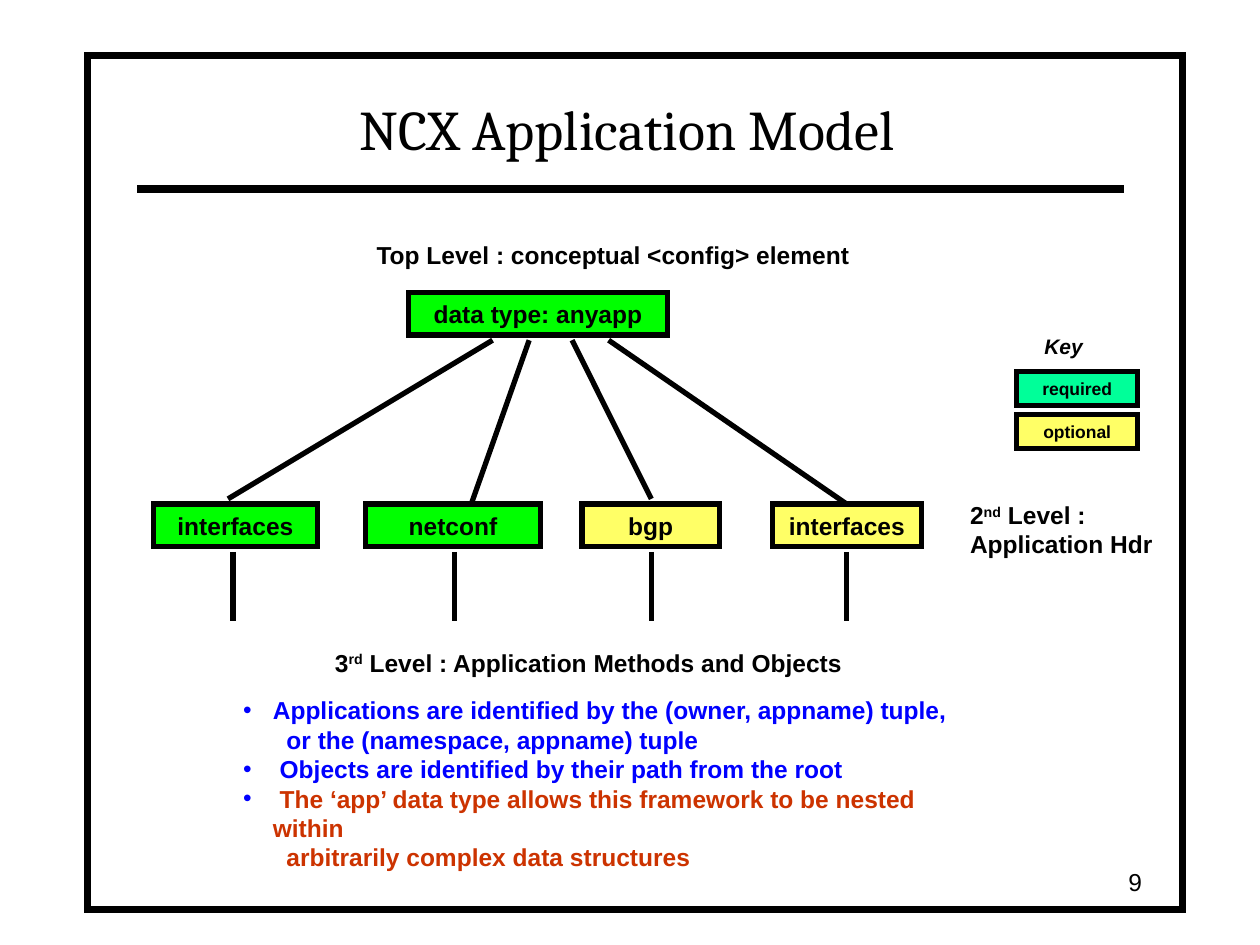
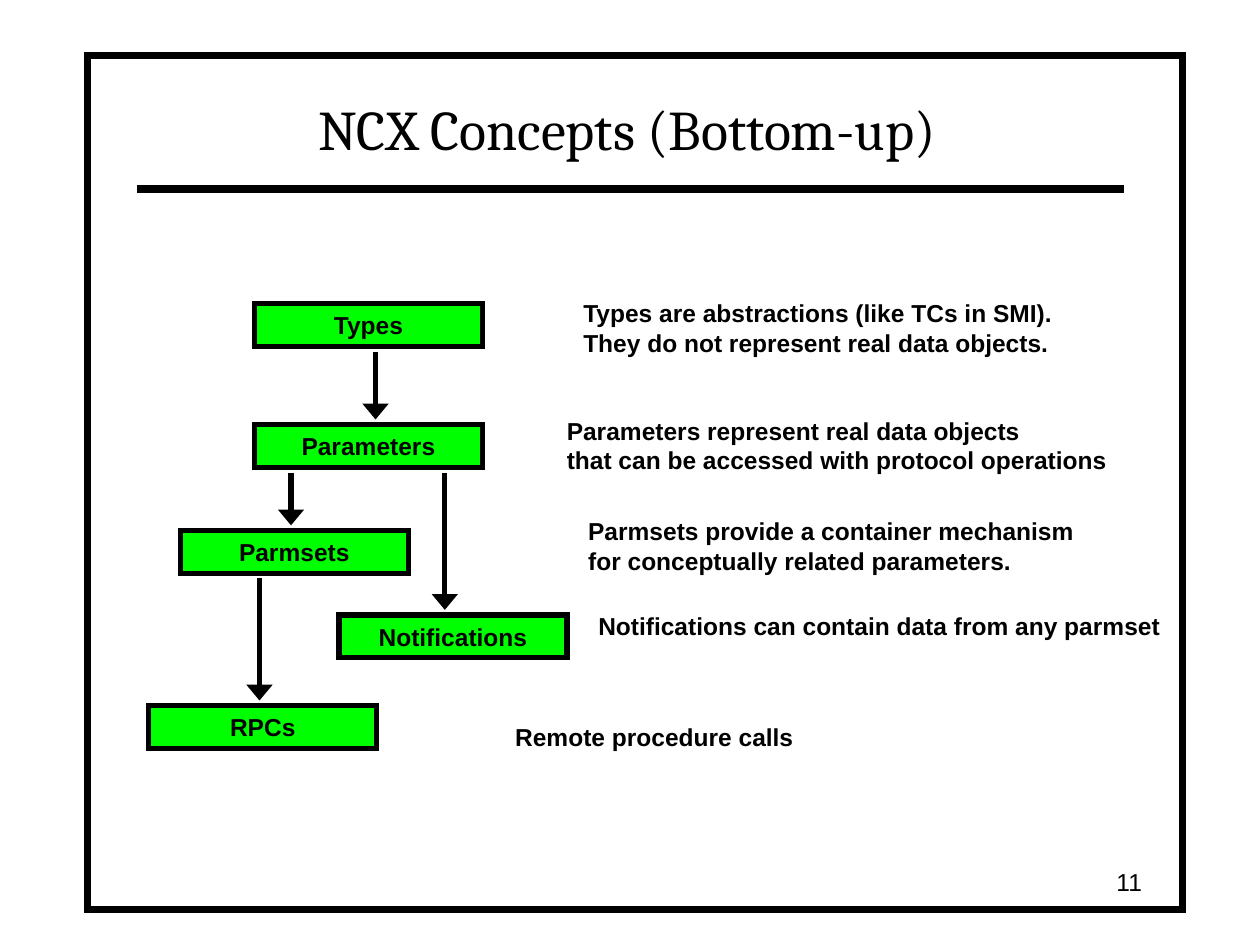
from collections import namedtuple

from lxml import etree
from pptx import Presentation
from pptx.dml.color import RGBColor
from pptx.enum.shapes import MSO_CONNECTOR, MSO_SHAPE
from pptx.enum.text import MSO_ANCHOR, PP_ALIGN
from pptx.oxml.ns import qn
from pptx.util import Pt

COLOURS = {
    "black": "000000",
    "white": "FFFFFF",
    "green": "00FF00",
    "mint": "00FF99",
    "yellow": "FFFF66",
    "blue": "0000FF",
    "rust": "CC3300",
}
BODY_FONT, TITLE_FONT = "Arial", "Cambria"
NODE_HEIGHT = 24.5
NODE_GAP = 2.9  # between a node and the end of a line
BULLET_INDENT = 17

Box = namedtuple("Box", "left top width height")


def colour(name):
    return RGBColor.from_string(COLOURS[name])


# ---- Shared helpers ----
def write(shape, text, size=14, font=BODY_FONT, ink="black", bold=True,
          italic=False, align=PP_ALIGN.LEFT, anchor=MSO_ANCHOR.TOP, wrap=True):
    """Fill a shape; text is a string or a list of (run, superscript) pairs."""
    frame = shape.text_frame
    frame.word_wrap = wrap
    frame.vertical_anchor = anchor
    frame.margin_left = frame.margin_right = Pt(7.2)
    frame.margin_top = frame.margin_bottom = Pt(3.6)
    if isinstance(text, str):
        frame.text = text
    else:
        for words, superscript in text:
            run = frame.paragraphs[0].add_run()
            run.text = words
            if superscript:
                run.font._element.set("baseline", "30000")
    for paragraph in frame.paragraphs:
        paragraph.alignment = align
        for run in paragraph.runs:
            run.font.name, run.font.size = font, Pt(size)
            run.font.bold, run.font.italic = bold, italic
            run.font.color.rgb = colour(ink)
    return shape


def add_label(slide, box, text, **text_format):
    return write(slide.shapes.add_textbox(*map(Pt, box)), text, **text_format)


def add_rectangle(slide, box, fill, line_width):
    rectangle = slide.shapes.add_shape(MSO_SHAPE.RECTANGLE, *map(Pt, box))
    rectangle.shadow.inherit = False
    rectangle.fill.solid()
    rectangle.fill.fore_color.rgb = colour(fill)
    rectangle.line.color.rgb = colour("black")
    rectangle.line.width = Pt(line_width)
    etree.SubElement(rectangle.line._get_or_add_ln(), qn("a:miter"), lim="800000")
    return rectangle


def add_node(slide, box, text, fill, size=14):
    write(add_rectangle(slide, box, fill, 3), text, size=size,
          align=PP_ALIGN.CENTER, anchor=MSO_ANCHOR.MIDDLE, wrap=False)


def add_line(slide, start, end, width=3, arrow=False):
    line = slide.shapes.add_connector(MSO_CONNECTOR.STRAIGHT, *map(Pt, start + end))
    line.line.color.rgb = colour("black")
    line.line.width = Pt(width)
    if arrow:
        etree.SubElement(line.line._get_or_add_ln(), qn("a:tailEnd"),
                         type="triangle", w="lg", len="med")
    etree.SubElement(line._element.spPr, qn("a:effectLst"))
    return line


# ---- Frame, title and page number ----
def frame_layout(slide, layout, box):
    """Put the page frame and the title rule on the layout, behind all slides."""
    page_frame = add_rectangle(slide, box, "white", 4)
    rule_y = box.top + 76
    rule = add_line(slide, (box.left + 28.4, rule_y),
                    (box.left + box.width - 33.6, rule_y), width=4.5)
    for part in (page_frame, rule):
        layout.shapes.element.append(part.element)


def head_slide(slide, box, title, number):
    heading = slide.shapes.title
    heading.left, heading.top = Pt(box.left + 28), Pt(box.top + 9.8)
    heading.width, heading.height = Pt(560.9), Pt(54)
    write(heading, title, size=32, font=TITLE_FONT, bold=False,
          align=PP_ALIGN.CENTER, anchor=MSO_ANCHOR.BOTTOM)
    add_label(slide, Box(box.left + 459.7, box.top + 459.8, 149.8, 23.8), number,
              bold=False, align=PP_ALIGN.RIGHT, anchor=MSO_ANCHOR.MIDDLE)


# ---- Application model ----
def add_application_tree(slide, box):
    x, y = box.left, box.top
    root_y, child_y = y + 33.1, y + 154.1
    branch_y = root_y + NODE_HEIGHT + NODE_GAP
    stem_y = child_y + NODE_HEIGHT + NODE_GAP

    # Level captions
    add_label(slide, Box(x + 120.3, y, 292, NODE_HEIGHT),
              "Top Level : conceptual <config> element")
    add_label(slide, Box(x + 459.4, y + 148.3, 121, 41),
              [("2", False), ("nd", True), (" Level : Application Hdr", False)])
    add_label(slide, Box(x + 96.5, y + 232.6, 310, NODE_HEIGHT),
              [("3", False), ("rd", True),
               (" Level : Application Methods and Objects", False)])

    # Root, then each child with its branch and stem
    add_node(slide, Box(x + 145.5, root_y, 148.3, NODE_HEIGHT),
             "data type: anyapp", "green")
    children = [  # name, fill, left, width, branch start, branch end, gap, stem
        ("interfaces", "green", 0, 93.6, 193.7, 42.5, NODE_GAP, 45.4),
        ("netconf", "green", 121, 100.1, 214.6, 181.5, 0, 172.1),
        ("bgp", "yellow", 244.8, 78.5, 239.1, 284.4, NODE_GAP, 284.4),
        ("interfaces", "yellow", 353.6, 85, 260, 396, 0, 396),
    ]
    for name, fill, left, width, start, end, gap, stem in children:
        add_node(slide, Box(x + left, child_y, width, NODE_HEIGHT), name, fill)
        add_line(slide, (x + start, branch_y), (x + end, child_y - gap))
        add_line(slide, (x + stem, stem_y), (x + stem, stem_y + 39.6))


def add_key(slide, box):
    add_label(slide, Box(box.left + 8.7, box.top, 48, 21.6), "Key",
              size=12, italic=True)
    for row, (name, fill) in enumerate([("required", "mint"), ("optional", "yellow")]):
        add_node(slide, Box(box.left, box.top + 25.2 + row * 24.5, box.width, 19.4),
                 name, fill, size=10)


def add_notes_on_identity(slide, box):
    points = [  # text, ink, bulleted
        ("Applications are identified by the (owner, appname) tuple,", "blue", True),
        ("or the (namespace, appname) tuple", "blue", False),
        (" Objects are identified by their path from the root", "blue", True),
        (" The ‘app’ data type allows this framework to be nested within", "rust", True),
        ("arbitrarily complex data structures", "rust", False),
    ]
    notes = add_label(slide, box, "\n".join(text for text, _, _ in points))
    for paragraph, (_, ink, bulleted) in zip(notes.text_frame.paragraphs, points):
        properties = paragraph._p.get_or_add_pPr()
        if bulleted:
            properties.set("marL", str(Pt(BULLET_INDENT)))
            properties.set("indent", str(-Pt(BULLET_INDENT)))
            bullet_colour = etree.SubElement(properties, qn("a:buClr"))
            etree.SubElement(bullet_colour, qn("a:srgbClr"), val=COLOURS["blue"])
            etree.SubElement(properties, qn("a:buFont"), typeface=BODY_FONT)
            etree.SubElement(properties, qn("a:buChar"), char="•")
        else:
            properties.set("marL", str(Pt(BULLET_INDENT + 7.8)))
            properties.set("indent", "0")
        paragraph.runs[0].font.color.rgb = colour(ink)


# ---- Concepts ----
def add_concepts(slide, box):
    concepts = {  # name: node left and top, text left, top and width, text
        "Types": (60.4, 6.5, 241.2, 0, 290,
                  "Types are abstractions (like TCs in SMI).\n"
                  "They do not represent real data objects."),
        "Parameters": (60.4, 75.6, 231.8, 67, 330,
                       "Parameters represent real data objects\n"
                       "that can be accessed with protocol operations"),
        "Parmsets": (18, 136.1, 244, 124.6, 298,
                     "Parmsets provide a container mechanism\n"
                     "for conceptually related parameters."),
        "Notifications": (108.7, 184.4, 249.8, 178.6, 340,
                          "Notifications can contain data from any parmset"),
        "RPCs": (0, 236.2, 202.3, 242, 183, "Remote procedure calls"),
    }
    for name, (left, top, text_left, text_top, width, text) in concepts.items():
        add_node(slide, Box(box.left + left, box.top + top, 130.3, NODE_HEIGHT),
                 name, "green")
        height = 41 if "\n" in text else NODE_HEIGHT
        add_label(slide, Box(box.left + text_left, box.top + text_top, width, height),
                  text)

    # Each arrow runs from below one node to above another
    arrows = [
        ("Types", "Parameters", 129.6),
        ("Parameters", "Parmsets", 81.3),
        ("Parameters", "Notifications", 169.2),
        ("Parmsets", "RPCs", 63.3),
    ]
    for source, target, offset in arrows:
        x = box.left + offset
        start = box.top + concepts[source][1] + NODE_HEIGHT + NODE_GAP
        end = box.top + concepts[target][1] - NODE_GAP
        add_line(slide, (x, start), (x, end), arrow=True)


def main():
    presentation = Presentation()
    presentation.slide_width, presentation.slide_height = Pt(720), Pt(540)
    layout = presentation.slide_layouts[5]  # title only
    page = Box(50.1, 32, 625.7, 488)

    model = presentation.slides.add_slide(layout)
    frame_layout(model, layout, page)
    head_slide(model, page, "NCX Application Model", "9")
    add_application_tree(model, Box(87.8, 133.9, 580.4, 257.1))
    add_key(model, Box(581, 187.2, 69.1, 69.1))
    add_notes_on_identity(model, Box(131.8, 393.8, 435.6, 108))

    concepts = presentation.slides.add_slide(layout)
    head_slide(concepts, page, "NCX Concepts (Bottom-up)", "11")
    add_concepts(concepts, Box(85, 167, 590, 266.5))

    presentation.save("out.pptx")


if __name__ == "__main__":
    main()
